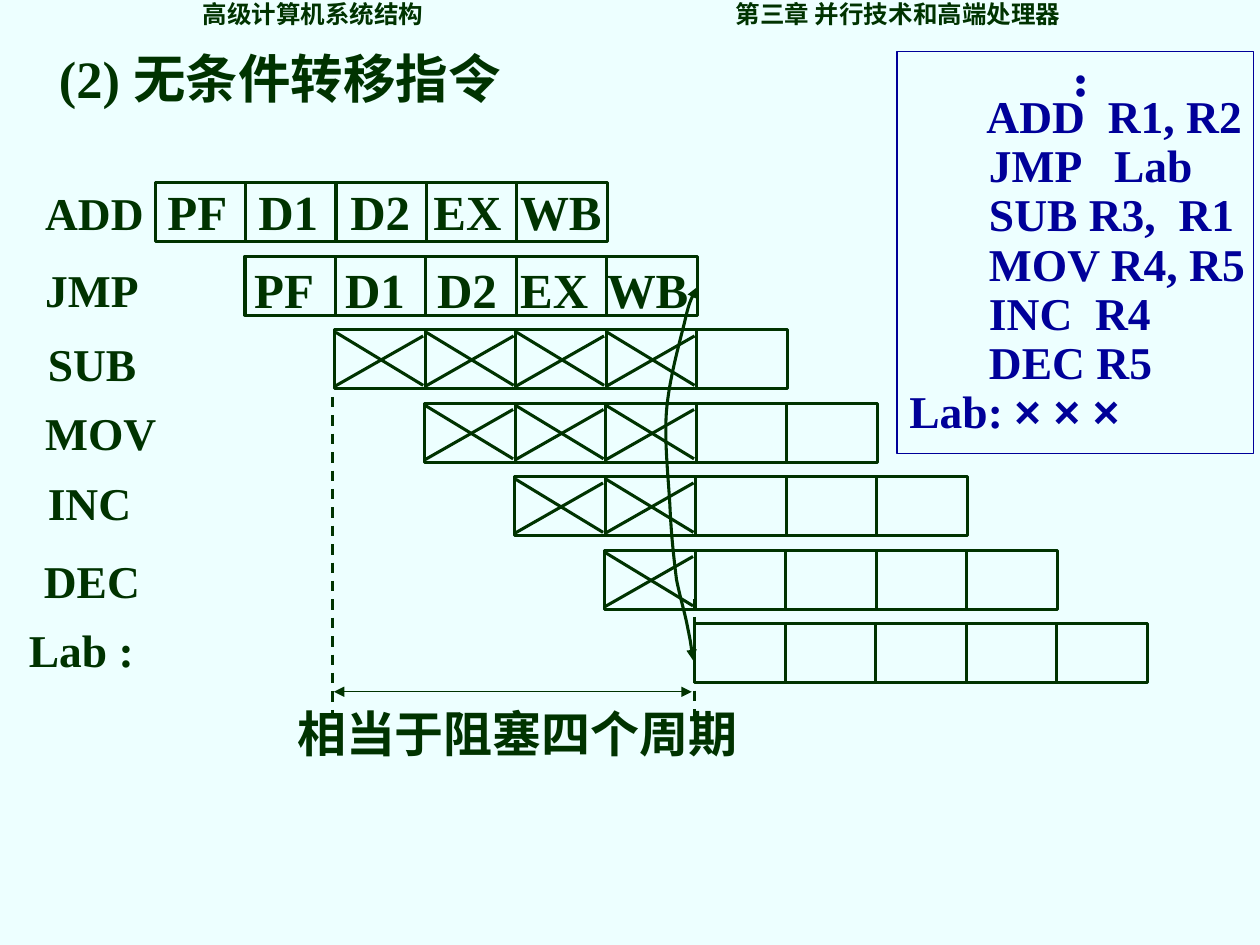
from pptx import Presentation
from pptx.dml.color import RGBColor
from pptx.enum.dml import MSO_LINE_DASH_STYLE as Dash
from pptx.enum.shapes import MSO_CONNECTOR as Connector, MSO_SHAPE as Shape
from pptx.oxml.ns import qn
from pptx.util import Pt
from lxml.etree import SubElement

GREEN, BLUE, PALE = "003300", "000099", "EDFFFF"
SERIF, SANS, CJK = "Times New Roman", "Arial", "Noto Sans CJK SC"

STAGES = ["PF", "D1", "D2", "EX", "WB"]
STAGE_TABS = [52, 104.5, 152, 201.5]
ROW_LEFT, ROW_TOP = 88.6, 104.4
STEP_X, STEP_Y = 51.4, 42
CELL_WIDTH, CELL_HEIGHT = 51.7, 33.8

# label, left, top, cells flushed from the pipeline
INSTRUCTIONS = [
    ("ADD", 18.7, 102.2, 0),
    ("JMP", 18.7, 146.2, 0),
    ("SUB", 20.2, 188.6, 4),
    ("MOV", 18.7, 228.2, 3),
    ("INC", 20.2, 267.8, 2),
    ("DEC", 18, 312.5, 1),
    ("Lab :", 9.4, 352.1, 0),
]
CODE = [
    "       ADD  R1, R2",
    "       JMP   Lab",
    "       SUB R3,  R1",
    "       MOV R4, R5",
    "       INC  R4",
    "       DEC R5",
    "Lab: ",
]
# start, then two handles and an end for each bend
JUMP_CURVE = [
    (398.2, 164.2),
    (396, 168.5), (393.8, 172.8), (391, 185),
    (388.1, 196.6), (382.3, 217.4), (380.9, 234.7),
    (379.4, 252.7), (382.3, 275.8), (383, 292.3),
    (383.8, 308.2), (385.2, 319.7), (386.6, 331.2),
    (388.8, 342), (391.7, 351.4), (393.1, 359.3),
    (394.6, 366.5), (395.3, 371.5), (396, 377.3),
]


def color(value):
    return RGBColor.from_string(value)


def style_span(span, size, ink, font=SERIF):
    span.font.size = Pt(size)
    span.font.bold = True
    span.font.name = font
    span.font.color.rgb = color(ink)
    SubElement(span.font._element, qn("a:ea"), typeface=CJK)


def add_text(page, text, left, top, width, height, size,
             ink=GREEN, font=SERIF, spacing=None, tabs=()):
    box = page.shapes.add_textbox(Pt(left), Pt(top), Pt(width), Pt(height))
    frame = box.text_frame
    frame.word_wrap = True
    frame.text = text
    for para in frame.paragraphs:
        if spacing:
            para.line_spacing = spacing
        if tabs:
            stops = SubElement(para._p.get_or_add_pPr(), qn("a:tabLst"))
            for position in tabs:
                SubElement(stops, qn("a:tab"), pos=str(Pt(position)), algn="l")
        for span in para.runs:
            style_span(span, size, ink, font)
    return box


def style_line(line, ink, width, dash=None, arrows=False):
    line.color.rgb = color(ink)
    line.width = Pt(width)
    if dash:
        line.dash_style = dash
    if arrows:
        outline = line._get_or_add_ln()
        for end in ("a:headEnd", "a:tailEnd"):
            SubElement(outline, qn(end), type="triangle")


def add_line(page, x1, y1, x2, y2, width=1.75, dash=None, arrows=False):
    line = page.shapes.add_connector(
        Connector.STRAIGHT, Pt(x1), Pt(y1), Pt(x2), Pt(y2))
    style_line(line.line, GREEN, width, dash, arrows)
    SubElement(line._element.spPr, qn("a:effectLst"))


def add_frame(page, left, top, width, height, ink=GREEN, weight=1.75):
    frame = page.shapes.add_shape(
        Shape.RECTANGLE, Pt(left), Pt(top), Pt(width), Pt(height))
    frame.shadow.inherit = False
    frame.fill.background()
    style_line(frame.line, ink, weight)


def add_curve(page, points):
    """Draw an arrowed Bezier curve through every third point."""
    start, *rest = [(Pt(x), Pt(y)) for x, y in points]
    builder = page.shapes.build_freeform(*start, scale=1.0)
    builder.add_line_segments(rest, close=False)
    curve = builder.convert_to_shape()
    curve.shadow.inherit = False
    curve.fill.background()
    style_line(curve.line, GREEN, 1.75, arrows=True)
    outline = next(curve._element.iter(qn("a:path")))
    segments = outline.findall(qn("a:lnTo"))
    for first in range(0, len(segments), 3):
        bend = SubElement(outline, qn("a:cubicBezTo"))
        for segment in segments[first:first + 3]:
            bend.append(segment[0])
            outline.remove(segment)


def add_cross(page, left, top):
    right = left + 50.4
    add_line(page, left + 0.5, top + 1.5, right, top + 31.8)
    add_line(page, right, top + 3.6, left - 0.5, top + 32.6)


def add_pipeline_row(page, index, flushed):
    left = ROW_LEFT + index * STEP_X
    top = ROW_TOP + index * STEP_Y
    add_frame(page, left, top, len(STAGES) * CELL_WIDTH, CELL_HEIGHT)
    for cell in range(1, len(STAGES)):
        x = left + cell * CELL_WIDTH
        add_line(page, x, top, x, top + CELL_HEIGHT)
    for cell in range(flushed):
        add_cross(page, left + cell * CELL_WIDTH, top)


def add_code(page):
    box = add_text(page, "\n".join(CODE), 512.6, 50.4, 208.8, 205.2, 26,
                   ink=BLUE, spacing=0.9)
    span = box.text_frame.paragraphs[-1].add_run()
    span.text = "× × ×"
    style_span(span, 26, BLUE, SANS)
    dots = add_text(page, "..", 599, 34.6, 50.4, 40.3, 30, ink=BLUE)
    frame = dots.text_frame
    frame.margin_left = frame.margin_right = Pt(3.6)
    frame.margin_top = frame.margin_bottom = Pt(7.2)
    frame._txBody.bodyPr.set("vert", "eaVert")
    add_frame(page, 512.6, 29.5, 203.8, 229.7, BLUE, 0.75)


def add_stall_measure(page):
    add_line(page, 190.1, 226.8, 190.1, 410.4, 1.5, Dash.DASH)
    add_line(page, 396.7, 342, 396.7, 411.8, 1.5, Dash.DASH)
    add_text(page, "相当于阻塞四个周期", 162.7, 398.2, 288, 41, 28)
    add_line(page, 190.8, 395.3, 395.3, 395.3, 0.75, arrows=True)


def main():
    deck = Presentation()
    deck.slide_width, deck.slide_height = Pt(720), Pt(540)
    page = deck.slides.add_slide(deck.slide_layouts[6])
    page.background.fill.solid()
    page.background.fill.fore_color.rgb = color(PALE)

    add_text(page, "(2) 无条件转移指令", 26.6, 23, 304.6, 43.2, 30)
    add_code(page)
    for index, (label, left, top, flushed) in enumerate(INSTRUCTIONS):
        add_pipeline_row(page, index, flushed)
        add_text(page, label, left, top, 90, 38.9, 26)
    for left, top in ((88.6, 100.1), (138.2, 144.7)):
        add_text(page, "\t".join(STAGES), left, top, 293, 41, 28,
                 tabs=STAGE_TABS)
    add_stall_measure(page)
    add_curve(page, JUMP_CURVE)
    add_text(page, "高级计算机系统结构\t第三章 并行技术和高端处理器",
             108.7, 0.7, 504.7, 19.4, 14, font=CJK, spacing=0.7, tabs=[304.6])
    deck.save("out.pptx")


if __name__ == "__main__":
    main()
